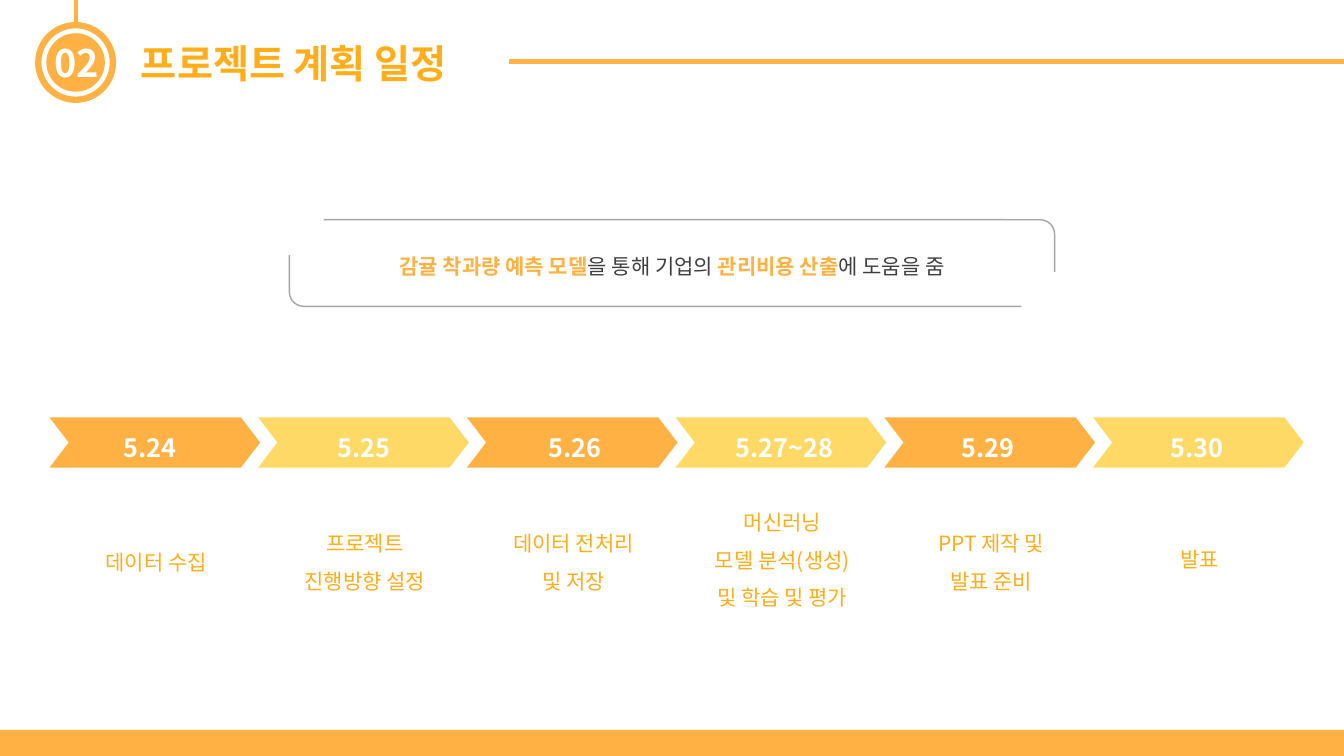
from lxml.etree import SubElement
from pptx import Presentation
from pptx.dml.color import RGBColor
from pptx.enum.shapes import MSO_CONNECTOR, MSO_SHAPE
from pptx.enum.text import MSO_ANCHOR, MSO_AUTO_SIZE, PP_ALIGN
from pptx.oxml.ns import qn
from pptx.util import Inches, Pt

FONT = "Noto Sans CJK KR"
ORANGE, YELLOW, AMBER = "FFB143", "FFD966", "FFAD19"
WHITE, GRAY, DARK = "FFFFFF", "A5A5A5", "3F3F3F"


def color(value):
    return RGBColor.from_string(value)


class SlideBuilder:
    """Holds the style and the current slide."""

    def __init__(self, slide, font_name):
        self.slide = slide
        self.font_name = font_name

    def shape(self, kind, left, top, width, height, fill,
              line=None, line_width=1, adjustment=None):
        shape = self.slide.shapes.add_shape(
            kind, Inches(left), Inches(top), Inches(width), Inches(height))
        shape.shadow.inherit = False
        shape.fill.solid()
        shape.fill.fore_color.rgb = color(fill)
        if line:
            shape.line.color.rgb = color(line)
            shape.line.width = Pt(line_width)
        else:
            shape.line.fill.background()
        if adjustment is not None:
            shape.adjustments[0] = adjustment
        return shape

    def line(self, x1, y1, x2, y2, stroke=ORANGE, width=3):
        connector = self.slide.shapes.add_connector(
            MSO_CONNECTOR.STRAIGHT, Inches(x1), Inches(y1), Inches(x2), Inches(y2))
        connector.line.color.rgb = color(stroke)
        connector.line.width = Pt(width)
        SubElement(connector._element.spPr, qn("a:effectLst"))
        return connector

    def style_run(self, run, size, fill, bold):
        run.font.size = Pt(size)
        run.font.bold = bold
        run.font.color.rgb = color(fill)
        run.font.name = self.font_name
        east_asian = SubElement(run.font._element, qn("a:ea"))
        east_asian.set("typeface", self.font_name)

    def text(self, left, top, width, height, paragraphs, size, spacing=None,
             align=PP_ALIGN.CENTER, anchor=MSO_ANCHOR.MIDDLE):
        """Each paragraph is a list of (text, colour, bold) runs."""
        box = self.slide.shapes.add_textbox(
            Inches(left), Inches(top), Inches(width), Inches(height))
        text_frame = box.text_frame
        text_frame.word_wrap = True
        text_frame.auto_size = MSO_AUTO_SIZE.SHAPE_TO_FIT_TEXT
        text_frame.vertical_anchor = anchor
        for index, runs in enumerate(paragraphs):
            paragraph = text_frame.add_paragraph() if index else text_frame.paragraphs[0]
            paragraph.alignment = align
            if spacing:
                paragraph.line_spacing = spacing
            for words, fill, bold in runs:
                run = paragraph.add_run()
                run.text = words
                self.style_run(run, size, fill, bold)
        return box


def main():
    presentation = Presentation()
    presentation.slide_width = Inches(13.33)
    presentation.slide_height = Inches(7.5)
    slide = presentation.slides.add_slide(presentation.slide_layouts[6])
    builder = SlideBuilder(slide, FONT)

    # Header: title, numbered badge and rule
    builder.text(1.3, 0.34, 3.62, 0.57, [[("프로젝트 계획 일정", AMBER, True)]], 28,
                 align=PP_ALIGN.LEFT)
    badge_ring = builder.shape(MSO_SHAPE.OVAL, 0.38, 0.25, 0.74, 0.74, WHITE, ORANGE, 4.5)
    builder.shape(MSO_SHAPE.OVAL, 0.46, 0.33, 0.58, 0.58, ORANGE)
    badge_cord = builder.line(0.75, 0, 0.75, 0.25)
    badge_cord.end_connect(badge_ring, 0)
    builder.text(0.44, 0.34, 0.64, 0.56, [[("02", WHITE, True)]], 27)
    builder.line(13.33, 0.61, 5.05, 0.61)

    # Footer bar
    builder.shape(MSO_SHAPE.RECTANGLE, 0, 7.24, 13.33, 0.26, ORANGE)

    # Schedule: date, date centre, date width, task top, task lines
    steps = [
        ("5.24", 1.49, 1.56, 5.28, ["데이터 수집"]),
        ("5.25", 3.61, 1.56, 5.09, ["프로젝트", "진행방향 설정"]),
        ("5.26", 5.7, 1.56, 5.09, ["데이터 전처리", "및 저장"]),
        ("5.27~28", 7.78, 1.93, 4.88, ["머신러닝", "모델 분석(생성)", "및 학습 및 평가"]),
        ("5.29", 9.8, 1.56, 5.09, ["PPT 제작 및", "발표 준비"]),
        ("5.30", 11.87, 1.56, 5.25, ["발표"]),
    ]
    step_pitch = 2.07
    for index, (date, date_center, date_width, task_top, task_lines) in enumerate(steps):
        offset = index * step_pitch
        builder.shape(MSO_SHAPE.CHEVRON, 0.49 + offset, 4.14, 2.09, 0.5,
                      YELLOW if index % 2 else ORANGE, adjustment=0.383)
        builder.text(date_center - date_width / 2, 4.11, date_width, 0.5,
                     [[(date, WHITE, True)]], 18, spacing=1.5)
        builder.text(0.55 + offset, task_top, 2, 0.1 + 0.38 * len(task_lines),
                     [[(words, AMBER, False)] for words in task_lines], 15,
                     spacing=1.5, anchor=MSO_ANCHOR.TOP)

    # Goal frame, with two opposite corners masked
    builder.shape(MSO_SHAPE.ROUNDED_RECTANGLE, 2.87, 2.18, 7.59, 0.86, WHITE, GRAY, 1,
                  adjustment=0.167)
    for left, top in [(2.53, 1.85), (10.13, 2.7)]:
        builder.shape(MSO_SHAPE.OVAL, left, top, 0.68, 0.68, WHITE)
    goal = [
        ("감귤 착과량 예측 모델", ORANGE, True),
        ("을 통해 기업의 ", DARK, False),
        ("관리비용 산출", ORANGE, True),
        ("에 도움을 줌", DARK, False),
    ]
    builder.text(3.37, 2.47, 6.59, 0.35, [goal], 15, anchor=MSO_ANCHOR.TOP)

    presentation.save("out.pptx")


if __name__ == "__main__":
    main()
